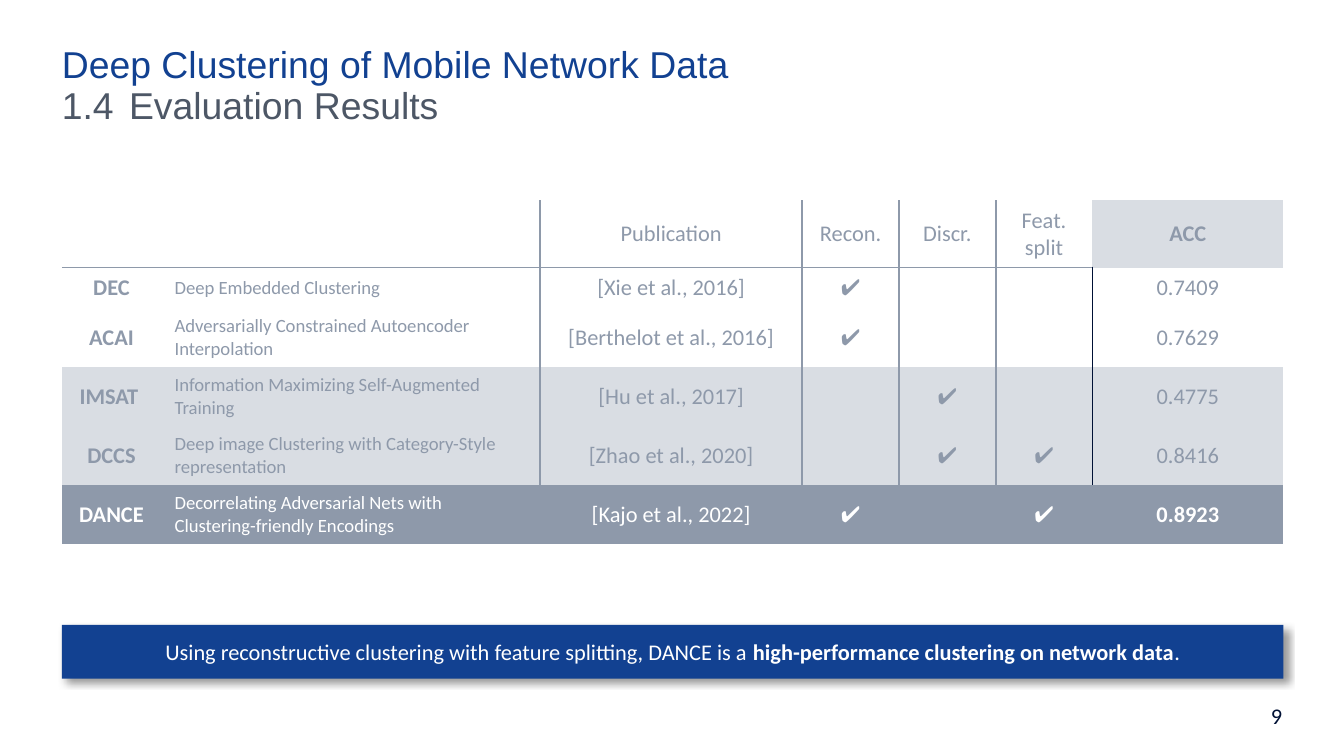
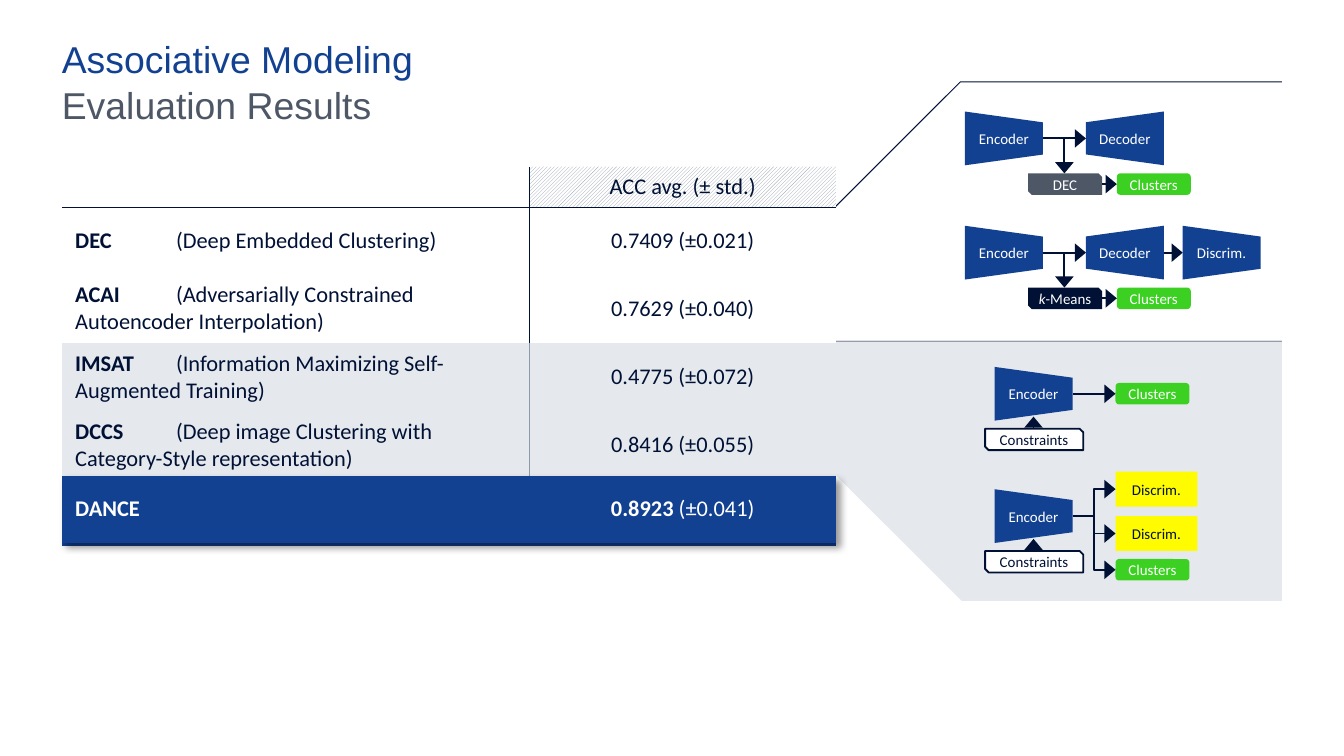
from lxml.etree import SubElement
from pptx import Presentation
from pptx.dml.color import RGBColor
from pptx.enum.dml import MSO_PATTERN
from pptx.enum.shapes import MSO_CONNECTOR as CONN, MSO_SHAPE as SHAPE
from pptx.enum.text import MSO_ANCHOR as ANCHOR, PP_ALIGN as ALIGN
from pptx.oxml import parse_xml
from pptx.oxml.ns import nsdecls, qn
from pptx.util import Inches, Pt

BLUE, NAVY, SLATE, STEEL = "124191", "001135", "4D5766", "8E99AA"
MIST, PALE, WHITE, GREEN, YELLOW = "D9DDE3", "E5E9ED", "FFFFFF", "3BD022", "FFFB00"
LEFT, WIDTH = 0.46, 9.09
GREY_RULE, NAVY_RULE = (STEEL, 1), (NAVY, 0.5)
NO_STYLE = "{2D5ABB26-0587-4C30-8999-92F81FD0307C}"
CHECK = "✔"
BLOCK_W, BLOCK_H, TAG_W, TAG_H = 0.58, 0.4, 0.55, 0.16

METHODS = [
    ("DEC", "Deep Embedded Clustering", "[Xie et al., 2016]", CHECK, "", "", "0.7409"),
    ("ACAI", "Adversarially Constrained Autoencoder Interpolation",
     "[Berthelot et al., 2016]", CHECK, "", "", "0.7629"),
    ("IMSAT ", "Information Maximizing Self-Augmented Training",
     "[Hu et al., 2017]", "", CHECK, "", "0.4775"),
    ("DCCS", "Deep image Clustering with Category-Style representation",
     "[Zhao et al., 2020]", "", CHECK, CHECK, "0.8416"),
    ("DANCE", "Decorrelating Adversarial Nets with Clustering-friendly Encodings",
     "[Kajo et al., 2022]", CHECK, "", CHECK, "0.8923"),
]
HEADERS = ("", "", "Publication", "Recon.", "Discr.", "Feat. split", "ACC")
AVERAGES = [
    ("DEC", "\t(Deep Embedded Clustering)", "0.7409 (±0.021)"),
    ("ACAI", " \t(Adversarially Constrained \tAutoencoder Interpolation)", "0.7629 (±0.040)"),
    ("IMSAT", " \t(Information Maximizing Self-\tAugmented Training)", "0.4775 (±0.072)"),
    ("DCCS", "\t(Deep image Clustering with \tCategory-Style representation)", "0.8416 (±0.055)"),
]


def rgb(value):
    """Turn a hex string into a colour."""
    return RGBColor.from_string(value)


def put(tf, runs, size, color, align=ALIGN.CENTER, font="Calibri"):
    """Write (text, style) runs into the first paragraph and return it."""
    p = tf.paragraphs[0]
    p.alignment = align
    for text, style in runs:
        r = p.add_run()
        r.text = text
        r.font.name, r.font.size = font, Pt(size)
        r.font.bold, r.font.italic = style == "b", style == "i"
        r.font.color.rgb = rgb(color)
    if not runs:
        SubElement(p._p, qn("a:endParaRPr"), sz=str(size * 100))
    return p


def margins(tf, side=0, edge=0):
    """Set the inner margins of a text frame and let it wrap."""
    tf.margin_left = tf.margin_right = Inches(side)
    tf.margin_top = tf.margin_bottom = Inches(edge)
    tf.word_wrap = True


def textbox(sp, x, y, w, h, text, size, color, align=ALIGN.LEFT, font="Calibri", spacing=0.9):
    """Add a one-paragraph text box without margins and return its paragraph."""
    tf = sp.add_textbox(Inches(x), Inches(y), Inches(w), Inches(h)).text_frame
    margins(tf)
    p = put(tf, [(text, "")], size, color, align, font)
    p.line_spacing = spacing
    return p


def titles(sp, title, subtitle, spacing=0.9):
    """Add the two-line slide heading and return the second paragraph."""
    textbox(sp, LEFT, 0.31, WIDTH, 0.34, title, 20, BLUE, font="Arial", spacing=spacing)
    return textbox(sp, LEFT, 0.65, WIDTH, 0.34, subtitle, 20, SLATE, font="Arial")


def shape(sp, kind, x, y, w, h, fill, line=None):
    """Add a flat preset shape."""
    shp = sp.add_shape(kind, Inches(x), Inches(y), Inches(w), Inches(h))
    shp.shadow.inherit = False
    shp.fill.solid()
    shp.fill.fore_color.rgb = rgb(fill)
    if line:
        shp.line.color.rgb, shp.line.width = rgb(line[0]), Pt(line[1])
    else:
        shp.line.fill.background()
    return shp


def drop_shadow():
    """Build the soft shadow that lifts a band off the page."""
    return parse_xml(
        f'<a:effectLst {nsdecls("a")}><a:outerShdw blurRad="50800" dist="38100" dir="2700000" '
        'algn="tl" rotWithShape="0"><a:srgbClr val="000000"><a:alpha val="40000"/>'
        '</a:srgbClr></a:outerShdw></a:effectLst>')


def table(sp, x, y, cols, rows):
    """Add an unstyled table with the given column widths and row heights."""
    frame = sp.add_table(len(rows), len(cols), Inches(x), Inches(y),
                         Inches(sum(cols)), Inches(sum(rows)))
    tbl = frame.table
    tbl.first_row = tbl.horz_banding = False
    tbl._tbl.tblPr.find(qn("a:tableStyleId")).text = NO_STYLE
    for col, w in zip(tbl.columns, cols):
        col.width = Inches(w)
    for row, h in zip(tbl.rows, rows):
        row.height = Inches(h)
    return tbl


def fill_cell(cell, runs, size, color, fill, align=ALIGN.CENTER, **rules):
    """Write a cell, its fill and its (colour, width) rules L, R, T, B."""
    cell.vertical_anchor = ANCHOR.MIDDLE
    for side in "LRTB":
        ln = SubElement(cell._tc.get_or_add_tcPr(), qn("a:ln" + side))
        if rules.get(side):
            hue, width = rules[side]
            ln.set("w", str(Pt(width)))
            SubElement(SubElement(ln, qn("a:solidFill")), qn("a:srgbClr"), val=hue)
        else:
            SubElement(ln, qn("a:noFill"))
    cell.fill.solid()
    cell.fill.fore_color.rgb = rgb(fill)
    return put(cell.text_frame, runs, size, color, align)


def methods_table(sp, x, y):
    """Compare the clustering methods by publication, features and accuracy."""
    tbl = table(sp, x, y, [0.74, 2.82, 1.95, 0.72, 0.72, 0.72, 1.42], [0.5, 0.3] + [0.44] * 4)
    fills = [WHITE, WHITE, WHITE, MIST, MIST, STEEL]
    for i, row in enumerate([HEADERS] + METHODS):
        last = i == len(METHODS)
        seams = [None] * 8 if last else [None, None] + [GREY_RULE] * 4 + [NAVY_RULE if i else None, None]
        for j, text in enumerate(row):
            bold = j == 0 or (j == 6 and i in (0, len(METHODS)))
            level = GREY_RULE if j < 6 else None
            fill_cell(tbl.cell(i, j), [(text, "b" if bold else "")] if text else [],
                      10 if j == 1 else 12, WHITE if last else STEEL,
                      MIST if (i, j) == (0, 6) else fills[i],
                      ALIGN.LEFT if j == 1 else ALIGN.CENTER,
                      L=seams[j], R=seams[j + 1],
                      T=level if i == 1 else None, B=level if i == 0 else None)


def winner_row(tbl, i):
    """Write the row of the best method."""
    fill_cell(tbl.cell(i, 0), [("DANCE", "b")], 12, WHITE, BLUE, ALIGN.LEFT)
    fill_cell(tbl.cell(i, 1), [("0.8923", "b"), (" (±0.041)", "")], 12, WHITE, BLUE)


def averages_table(sp, x, y):
    """List mean accuracy per method and return the column widths."""
    cols = [3.48, 2.28]
    tbl = table(sp, x, y, cols, [0.3, 0.5, 0.51, 0.51, 0.5, 0.5])
    fill_cell(tbl.cell(0, 0), [], 12, NAVY, WHITE, R=NAVY_RULE, B=NAVY_RULE)
    head = tbl.cell(0, 1)
    fill_cell(head, [("ACC avg. (± std.)", "")], 12, NAVY, WHITE, L=NAVY_RULE, B=NAVY_RULE)
    head.fill.patterned()
    head.fill.pattern = MSO_PATTERN.LIGHT_UPWARD_DIAGONAL
    head.fill.fore_color.rgb, head.fill.back_color.rgb = rgb("98A2AE"), rgb(WHITE)
    for i, (name, meaning, score) in enumerate(AVERAGES, 1):
        fill, seam = (WHITE, NAVY_RULE) if i < 3 else (PALE, GREY_RULE)
        top = NAVY_RULE if i == 1 else None
        p = fill_cell(tbl.cell(i, 0), [(name, "b"), (meaning, "")], 12, NAVY, fill,
                      ALIGN.LEFT, R=seam, T=top)
        tabs = SubElement(p._p.get_or_add_pPr(), qn("a:tabLst"))
        SubElement(tabs, qn("a:tab"), pos=str(Inches(0.75)), algn="l")
        fill_cell(tbl.cell(i, 1), [(score, "")], 12, NAVY, fill, L=seam, T=top)
    winner_row(tbl, 5)
    return cols


def winner_band(sp, x, y, cols):
    """Add the raised band of the best method."""
    tbl = table(sp, x, y, cols, [0.5])
    tbl._tbl.tblPr.insert(0, drop_shadow())
    winner_row(tbl, 0)


def banner(sp, x, y, w, h):
    """Add the shadowed band with the key message."""
    shp = shape(sp, SHAPE.RECTANGLE, x, y, w, h, BLUE)
    spPr = shp._element.spPr
    spPr.replace(spPr.find(qn("a:effectLst")), drop_shadow())
    tf = shp.text_frame
    margins(tf, 0.1, 0.04)
    tf.vertical_anchor = ANCHOR.MIDDLE
    put(tf, [("Using reconstructive clustering with feature splitting, DANCE is a ", ""),
             ("high-performance clustering on network data", "b"), (".", "")], 12, WHITE)


def label(shp, runs, color=WHITE, pad=0):
    """Centre a small label in a diagram shape."""
    margins(shp.text_frame, pad, pad)
    shp.text_frame.vertical_anchor = ANCHOR.MIDDLE
    put(shp.text_frame, runs, 8, color)


def network(sp, x, y, text, narrows=True):
    """Add a network block that narrows or widens to the right."""
    shp = shape(sp, SHAPE.FLOWCHART_MANUAL_OPERATION, x + (BLOCK_W - BLOCK_H) / 2,
                y - (BLOCK_W - BLOCK_H) / 2, BLOCK_H, BLOCK_W, BLUE)
    shp.rotation = 270 if narrows else 90
    label(shp, [(text, "")], pad=0.08)
    shp.text_frame._txBody.bodyPr.set("vert", "vert" if narrows else "vert270")


def tag(sp, kind, x, y, w, fill, runs, color=WHITE, line=None):
    """Add a low labelled box."""
    label(shape(sp, kind, x, y, w, TAG_H, fill, line), runs, color)


def clusters(sp, x, y):
    """Add the cluster output box."""
    tag(sp, SHAPE.ROUNDED_RECTANGLE, x, y, TAG_W, GREEN, [("Clusters", "")])


def arrow(sp, x1, y1, x2, y2, kind=CONN.STRAIGHT):
    """Add a connector with an arrowhead at its end."""
    cx = sp.add_connector(kind, Inches(x1), Inches(y1), Inches(x2), Inches(y2))
    cx.line.color.rgb, cx.line.width = rgb(NAVY), Pt(1)
    SubElement(cx.line._get_or_add_ln(), qn("a:tailEnd"), type="triangle", w="lg", len="med")
    SubElement(cx._element.spPr, qn("a:effectLst"))


def autoencoder(sp, x, y, method, fill, critic=False):
    """Draw an autoencoder whose code feeds a clustering method."""
    sp = sp.add_group_shape().shapes
    axis, low = y + BLOCK_H / 2, y + 0.46
    network(sp, x, y, "Encoder")
    network(sp, x + 0.9, y, "Decoder", narrows=False)
    tag(sp, SHAPE.SNIP_2_DIAG_RECTANGLE, x + 0.47, low, TAG_W, fill, method)
    clusters(sp, x + 1.13, low)
    arrow(sp, x + BLOCK_W, axis, x + 0.9, axis)
    arrow(sp, x + 0.74, axis, x + 0.74, low)
    arrow(sp, x + 1.02, low + TAG_H / 2, x + 1.13, low + TAG_H / 2)
    if critic:
        network(sp, x + 1.62, y, "Discrim.")
        arrow(sp, x + 1.48, axis, x + 1.62, axis)


def constrained(sp, x, y, cluster_y, critic_ys=()):
    """Draw a constrained encoder with outputs centred at the given offsets."""
    sp = sp.add_group_shape().shapes
    axis, out = y + BLOCK_H / 2, x + 0.9
    network(sp, x, y, "Encoder")
    tag(sp, SHAPE.SNIP_2_DIAG_RECTANGLE, x - 0.07, y + 0.46, 0.73, WHITE,
        [("Constraints", "")], NAVY, (NAVY, 1))
    arrow(sp, x + BLOCK_W / 2, y + 0.46, x + BLOCK_W / 2, y + 0.37)
    for dy in critic_ys:
        label(shape(sp, SHAPE.RECTANGLE, out, y + dy - 0.13, 0.61, 0.26, YELLOW),
              [("Discrim.", "")], NAVY, 0.08)
    clusters(sp, out, y + cluster_y - TAG_H / 2)
    for dy in (*critic_ys, cluster_y):
        arrow(sp, x + BLOCK_W, axis, out, y + dy, CONN.ELBOW if critic_ys else CONN.STRAIGHT)


def callouts(sp, x, y, w, h):
    """Add the two stacked panels that open out from the table."""
    for dx, dy, fill, line, flip in ((0, 0, WHITE, NAVY_RULE, True), (0.01, h, PALE, None, False)):
        shp = shape(sp, SHAPE.SNIP_1_RECTANGLE, x + dx, y + dy, w, h, fill, line)
        shp.adjustments[0] = 0.484
        shp.rotation = 180
        if flip:
            shp._element.spPr.find(qn("a:xfrm")).set("flipV", "1")


def results_slide(s):
    """Build the slide with the full method comparison."""
    sp = s.shapes
    pPr = titles(sp, "Deep Clustering of Mobile Network Data",
                 "1.4\tEvaluation Results", 1.0)._p.get_or_add_pPr()
    pPr.set("marL", str(Inches(0.5)))
    pPr.set("indent", str(-Inches(0.5)))
    methods_table(sp, LEFT, 1.49)
    banner(sp, LEFT, 4.65, WIDTH, 0.4)
    textbox(sp, 9.26, 5.25, 0.28, 0.18, "9", 12, NAVY, ALIGN.RIGHT)


def modeling_slide(s):
    """Build the slide with average scores and model diagrams."""
    sp = s.shapes
    callouts(sp, 6.21, 0.61, 3.41, 1.93)
    cols = averages_table(sp, LEFT, 1.24)
    titles(sp, "Associative Modeling", "Evaluation Results")
    autoencoder(sp, 7.18, 0.83, [("DEC", "")], SLATE)
    autoencoder(sp, 7.18, 1.68, [("k", "i"), ("-Means", "")], NAVY, critic=True)
    constrained(sp, 7.4, 2.73, 0.2)
    constrained(sp, 7.4, 3.64, 0.6, (0, 0.33))
    winner_band(sp, LEFT, 3.54, cols)
    shape(sp, SHAPE.RECTANGLE, 9.54, 0.36, 0.45, 4.4, WHITE)


def main():
    """Build and save the presentation."""
    prs = Presentation()
    prs.slide_width, prs.slide_height = Inches(10), Inches(10) * 9 // 16
    for build in (results_slide, modeling_slide):
        build(prs.slides.add_slide(prs.slide_layouts[6]))
    prs.save("out.pptx")


if __name__ == "__main__":
    main()
